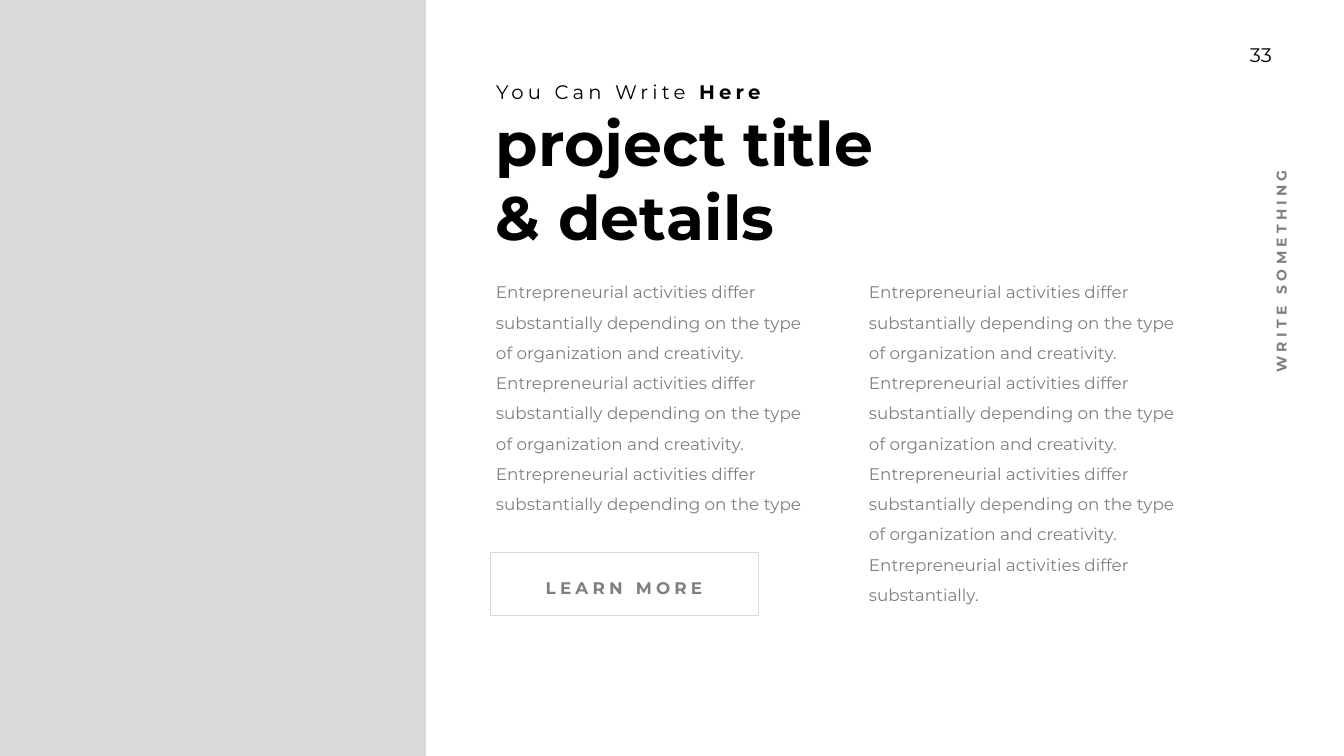
"""Build a project details slide with a side panel, two text columns and a button."""
import pptx
import pptx.dml.color
import pptx.enum.shapes
import pptx.enum.text
import pptx.util

PX = 914400 / 50.4
WIDTH, HEIGHT = 1344, 756
FONT = "Montserrat"
COLORS = {"ink": "000000", "gray": "7F7F7F", "panel": "D9D9D9", "paper": "FFFFFF"}
ALIGN = pptx.enum.text.PP_ALIGN

ACTIVITY = "Entrepreneurial activities differ substantially"
SENTENCE = ACTIVITY + " depending on the type of organization and creativity. "
COLUMNS = [
    ((491, 269, 322, 249), SENTENCE * 2 + ACTIVITY + " depending on the type"),
    ((864, 269, 322, 341), SENTENCE * 3 + ACTIVITY + "."),
]
PAGE_NUMBER = ((1238, 38, 56, 34), "33")
EYEBROW = ((491, 77, 341, 29), [("You Can Write ", False), ("Here", True)])
TITLE = ((491, 102, 639, 154), ["project title", "& details"])
SIDE_LABEL = ((1110, 196, 341, 22), "WRITE SOMETHING")
PANEL = (0, 0, 426, HEIGHT)
BUTTON = (490, 552, 268, 63)
BUTTON_LABEL = ((509, 565, 230, 36), "LEARN MORE")


def emu(px):
    return pptx.util.Emu(round(px * PX))


def rgb(name):
    return pptx.dml.color.RGBColor.from_string(COLORS[name])


def add_text(shapes, place, lines, size=24, color="gray", bold=False, tracking=0,
             align=ALIGN.LEFT, spacing=None, wrap=True, margins=(5, 3, 5, 3), rotation=0):
    """Add a text box; each line is a string or a list of (text, bold) spans."""
    box = shapes.add_textbox(*map(emu, place))
    box.rotation = rotation
    frame = box.text_frame
    frame.word_wrap = wrap
    frame.auto_size = pptx.enum.text.MSO_AUTO_SIZE.SHAPE_TO_FIT_TEXT
    frame.margin_left, frame.margin_top, frame.margin_right, frame.margin_bottom = map(emu, margins)
    for index, line in enumerate(lines):
        para = frame.add_paragraph() if index else frame.paragraphs[0]
        para.alignment = align
        para.line_spacing = spacing
        for text, heavy in [(line, bold)] if isinstance(line, str) else line:
            span = para.add_run()
            span.text = text
            span.font.name = FONT
            span.font.size = pptx.util.Pt(size)
            span.font.bold = heavy
            span.font.color.rgb = rgb(color)
            if tracking:
                span._r.get_or_add_rPr().set("spc", str(tracking * 100))


def add_rectangle(shapes, place, fill, line=None):
    box = shapes.add_shape(pptx.enum.shapes.MSO_SHAPE.RECTANGLE, *map(emu, place))
    box.shadow.inherit = False
    box.fill.solid()
    box.fill.fore_color.rgb = rgb(fill)
    if line:
        box.line.color.rgb = rgb(line)
        box.line.width = pptx.util.Pt(1)
    else:
        box.line.fill.background()


def main():
    deck = pptx.Presentation()
    deck.slide_width, deck.slide_height = emu(WIDTH), emu(HEIGHT)
    page = deck.slides.add_slide(deck.slide_layouts[6])
    shapes = page.shapes

    place, number = PAGE_NUMBER
    add_text(shapes, place, [number], size=28, color="ink", align=ALIGN.CENTER,
             wrap=False, margins=(10, 5, 20, 5))
    add_rectangle(shapes, PANEL, "panel")

    place, spans = EYEBROW
    add_text(shapes, place, [spans], size=28, color="ink", tracking=6)
    place, lines = TITLE
    add_text(shapes, place, lines, size=88, color="ink", bold=True)

    for place, text in COLUMNS:
        add_text(shapes, place, [text], spacing=1.5)

    button = shapes.add_group_shape()
    add_rectangle(button.shapes, BUTTON, "paper", line="panel")
    place, label = BUTTON_LABEL
    add_text(button.shapes, place, [label], bold=True, tracking=6,
             align=ALIGN.CENTER, spacing=1.5)

    place, label = SIDE_LABEL
    add_text(shapes, place, [label], size=20, bold=True, tracking=6, rotation=270)

    deck.save("out.pptx")


if __name__ == "__main__":
    main()
